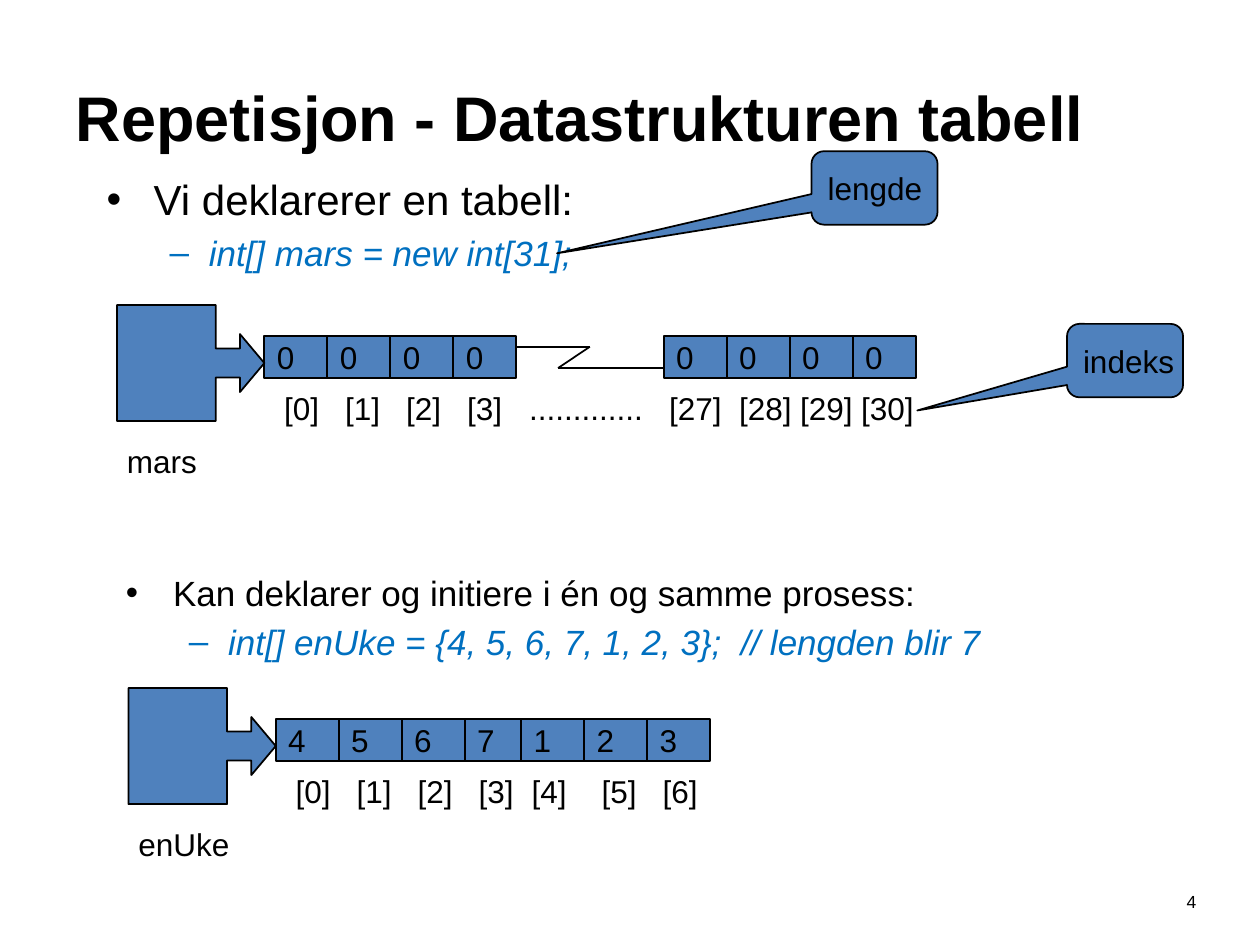
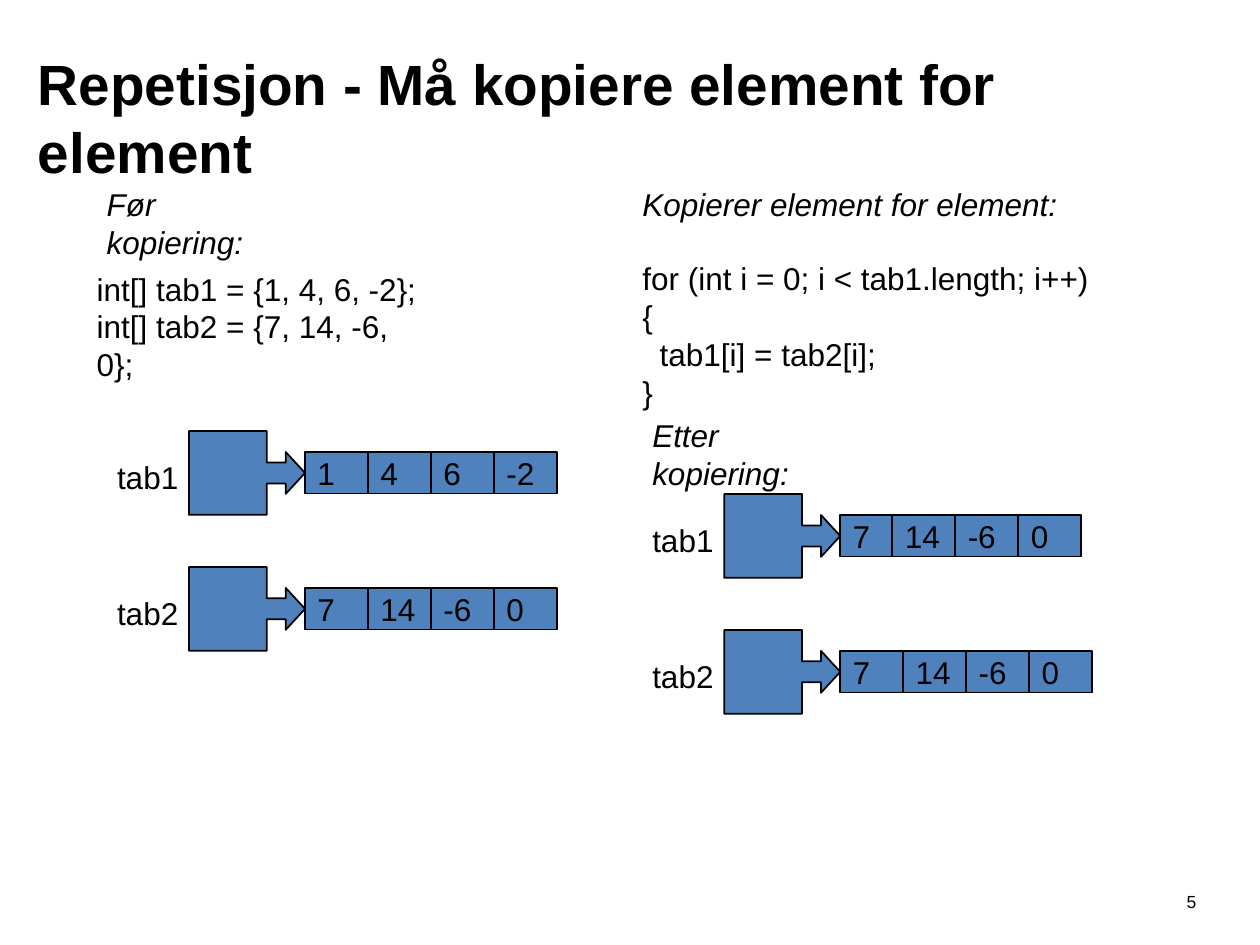
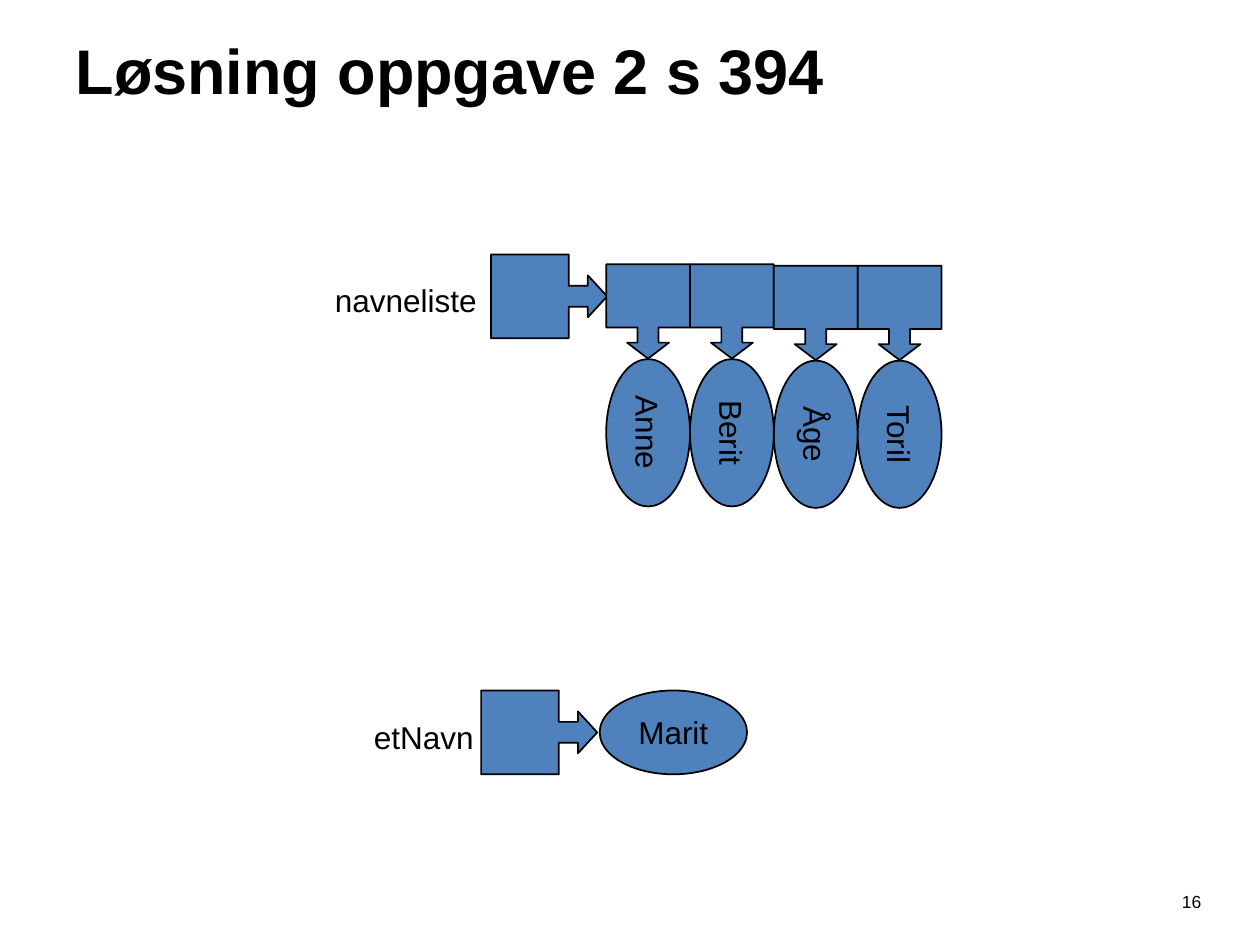
from lxml.etree import SubElement
from pptx import Presentation
from pptx.dml.color import RGBColor
from pptx.enum.shapes import MSO_CONNECTOR, MSO_SHAPE
from pptx.enum.text import MSO_ANCHOR, MSO_AUTO_SIZE, PP_ALIGN
from pptx.oxml.ns import qn
from pptx.util import Cm, Pt

FONT = "Arial"
BLACK, BLUE, CODE = "000000", "4F81BD", "0070C0"
CELL_WIDTH, CELL_HEIGHT = 1.27, 0.84
LARGE, SMALL = (2.97, 2.34), (2.34, 1.69)
OVAL = (2.97, 1.69)


def color(value):
    return RGBColor.from_string(value)


def set_values(target, **values):
    for name, value in values.items():
        setattr(target, name, value)


def lengths(*values):
    return [Cm(value) for value in values]


def write(paragraph, text, size=18, ink=BLACK, bold=False, italic=False):
    run = paragraph.add_run()
    run.text = text
    set_values(run.font, name=FONT, size=Pt(size), bold=bold, italic=italic)
    run.font.color.rgb = color(ink)


def add_text(slide, box, lines, wrap=True, align=PP_ALIGN.LEFT, **format_values):
    """Add a text box with one paragraph per line; return its paragraphs."""
    frame = slide.shapes.add_textbox(*lengths(*box)).text_frame
    frame.word_wrap = wrap
    for index, line in enumerate(lines):
        paragraph = frame.add_paragraph() if index else frame.paragraphs[0]
        paragraph.alignment = align
        write(paragraph, line, **format_values)
    return frame.paragraphs


def indent(paragraph, margin, first=0.0, bullet=None):
    properties = paragraph._p.get_or_add_pPr()
    properties.set("marL", str(Cm(margin)))
    properties.set("indent", str(Cm(first)))
    if bullet:
        SubElement(properties, qn("a:buFont")).set("typeface", FONT)
        SubElement(properties, qn("a:buChar")).set("char", bullet)


def add_shape(slide, kind, box, text="", adjustments=(), align=PP_ALIGN.LEFT):
    shape = slide.shapes.add_shape(kind, *lengths(*box))
    shape.shadow.inherit = False
    shape.fill.solid()
    shape.fill.fore_color.rgb = color(BLUE)
    shape.line.color.rgb = color(BLACK)
    shape.line.width = Pt(1)
    for index, value in enumerate(adjustments):
        shape.adjustments[index] = value
    set_values(shape.text_frame, word_wrap=False, vertical_anchor=MSO_ANCHOR.MIDDLE)
    if text:
        paragraph = shape.text_frame.paragraphs[0]
        paragraph.alignment = align
        write(paragraph, text)
    return shape


def add_slide(presentation, title, box, number, size=36):
    slide = presentation.slides.add_slide(presentation.slide_layouts[5])
    placeholder = slide.shapes.title
    left, top, width, height = lengths(*box)
    set_values(placeholder, left=left, top=top, width=width, height=height)
    set_values(placeholder.text_frame, word_wrap=True, auto_size=MSO_AUTO_SIZE.NONE,
               vertical_anchor=MSO_ANCHOR.MIDDLE)
    paragraph = placeholder.text_frame.paragraphs[0]
    paragraph.alignment = PP_ALIGN.LEFT
    write(paragraph, title, size, bold=True)
    add_text(slide, (23.55, 17.83, 0.94, 1.02), [number], align=PP_ALIGN.CENTER, size=10)
    return slide


def add_bullets(slide, left, top, heading, code, heading_size):
    """Add a heading bullet with a line of code below it."""
    heading_line, code_line = add_text(slide, (left, top, 21.59, 2.54), [heading],
                                       size=heading_size)[0], None
    frame = slide.shapes[-1].text_frame
    code_line = frame.add_paragraph()
    write(code_line, code, 20, CODE, italic=True)
    heading_line.space_before = Pt(heading_size * 0.2)
    code_line.space_before = Pt(4)
    indent(heading_line, 0.95, -0.95, "•")
    code_line.level = 1
    indent(code_line, 2.06, -0.79, "–")


def add_reference(slide, left, top, size, name, label_box):
    """Add a variable's box with its arrow; label_box is relative to it."""
    width, height = size
    shaft = 0.21 if size == LARGE else 0.23
    add_shape(slide, MSO_SHAPE.RIGHT_ARROW_CALLOUT, (left, top, width, height),
              adjustments=(0.25, 0.25, shaft, 0.67))
    dx, dy, label_width = label_box
    add_text(slide, (left + dx, top + dy, label_width, 1.02), [name], wrap=False)


def add_cells(slide, left, top, groups):
    """Add runs of adjoining cells; each group is (offset, values)."""
    for offset, values in groups:
        for index, value in enumerate(values):
            box = (left + offset + index * CELL_WIDTH, top, CELL_WIDTH, CELL_HEIGHT)
            add_shape(slide, MSO_SHAPE.RECTANGLE, box, value)


def add_indexed_array(slide, left, top, name, label_width, groups, indices, stops):
    add_cells(slide, left + LARGE[0], top + 0.63, groups)
    add_reference(slide, left, top, LARGE, name, (-0.05, 2.64, label_width))
    paragraph = add_text(slide, (left + 3.12, top + 1.57, 13.59, 1.02),
                         ["\t".join(indices)])[0]
    tabs = SubElement(paragraph._p.get_or_add_pPr(), qn("a:tabLst"))
    for stop in stops:
        tab = SubElement(tabs, qn("a:tab"))
        tab.set("pos", str(Cm(stop)))
        tab.set("algn", "l")


def add_small_array(slide, left, top, name, groups):
    add_reference(slide, left, top, SMALL, name, (-1.7, 0.42, 1.75))
    add_cells(slide, left + SMALL[0], top + 0.42, groups)


def add_break_line(slide, points):
    for start, end in zip(points, points[1:]):
        line = slide.shapes.add_connector(MSO_CONNECTOR.STRAIGHT, *lengths(*start, *end))
        line.line.color.rgb = color(BLACK)
        line.line.width = Pt(1)
        SubElement(line._element.spPr, qn("a:effectLst"))


def add_name_object(slide, left, top, name):
    """Add one element of a name list: a down arrow and an upright oval."""
    width = OVAL[1]
    add_shape(slide, MSO_SHAPE.DOWN_ARROW_CALLOUT, (left, top, width, 1.9),
              adjustments=(0.25, 0.25, 0.19, 0.67))
    oval_left = left + (width - OVAL[0]) / 2
    oval = add_shape(slide, MSO_SHAPE.OVAL, (oval_left, top + 2.55, *OVAL), name,
                     align=PP_ALIGN.CENTER)
    oval.rotation = 90


def build_array_slide(presentation):
    slide = add_slide(presentation, "Repetisjon - Datastrukturen tabell",
                      (1.27, 0.76, 22.86, 3.18), "4")
    add_bullets(slide, 1.9, 3.38, "Vi deklarerer en tabell:", "int[] mars = new int[31];", 24)
    add_bullets(slide, 2.29, 11.4, "Kan deklarer og initiere i én og samme prosess:",
                "int[] enUke = {4, 5, 6, 7, 1, 2, 3};  // lengden blir 7", 20)
    add_indexed_array(
        slide, 2.59, 13.87, "enUke", 2.34, [(0, "4567"), (4.95, "123")],
        [f"[{index}]" for index in range(7)], (1.23, 2.46, 3.69, 4.76, 6.17, 7.4))
    add_indexed_array(
        slide, 2.36, 6.15, "mars", 1.93, [(0, "0000"), (8.05, "0000")],
        ["[0]", "[1]", "[2]", "[3]", ".............", "[27]", "[28]", "[29]", "[30]"],
        (1.23, 2.46, 3.69, 4.94, 7.76, 9.17, 10.4, 11.63))
    add_break_line(slide, [(10.41, 6.99), (11.89, 6.99), (11.25, 7.42), (13.39, 7.42)])
    for text, box, tail in (("lengde", (16.36, 3.05, 2.54, 1.48), (-2.52, 0.89, 0.17)),
                            ("indeks", (21.51, 6.53, 2.34, 1.48), (-1.79, 0.68, 0.17))):
        add_shape(slide, MSO_SHAPE.ROUNDED_RECTANGULAR_CALLOUT, box, text, tail)


def build_copy_slide(presentation):
    slide = add_slide(presentation, "Repetisjon - Må kopiere element for element",
                      (0.51, 0.76, 24.41, 3.18), "5", 32.4)
    add_text(slide, (1.7, 5.31, 7.06, 2.54),
             ["int[] tab1 = {1, 4, 6, -2};", "int[] tab2 = {7, 14, -6, 0};"])
    second = [(0, ["7", "14", "-6", "0"])]
    add_small_array(slide, 3.81, 8.69, "tab1", [(0, ["1", "4", "6", "-2"])])
    add_small_array(slide, 3.81, 11.43, "tab2", second)
    add_small_array(slide, 14.6, 9.96, "tab1", [(0, ["7"]), (1.05, ["14", "-6", "0"])])
    add_small_array(slide, 14.6, 12.7, "tab2", second)
    heading, loop, body, _ = add_text(
        slide, (12.7, 3.61, 9.55, 4.83),
        ["Kopierer element for element:", "for (int i = 0; i < tab1.length; i++) {",
         "tab1[i] = tab2[i];", "}"])
    heading.runs[0].font.italic = True
    loop.space_before = Pt(20.7)
    indent(body, 0.35)
    add_text(slide, (1.9, 3.61, 4.27, 1.02), ["Før kopiering:"], italic=True)
    add_text(slide, (12.9, 8.26, 4.65, 1.02), ["Etter kopiering:"], italic=True)


def build_names_slide(presentation):
    slide = add_slide(presentation, "Løsning oppgave 2 s 394",
                      (1.27, -0.2, 20.55, 3.18), "16")
    add_reference(slide, 9.9, 5.13, SMALL, "navneliste", (-3.4, 0.42, 3.38))
    for index, name in enumerate(["Anne", "Berit", "Åge", "Toril"]):
        add_name_object(slide, 12.22 + index * OVAL[1], 5.33 if index < 2 else 5.36, name)
    add_reference(slide, 9.7, 13.92, SMALL, "etNavn", (-2.41, 0.42, 2.54))
    add_shape(slide, MSO_SHAPE.OVAL, (12.09, 13.92, *OVAL), "Marit", align=PP_ALIGN.CENTER)


def main():
    presentation = Presentation()
    set_values(presentation, slide_width=Cm(25.4), slide_height=Cm(19.05))
    for build in (build_array_slide, build_copy_slide, build_names_slide):
        build(presentation)
    presentation.save("out.pptx")


if __name__ == "__main__":
    main()
